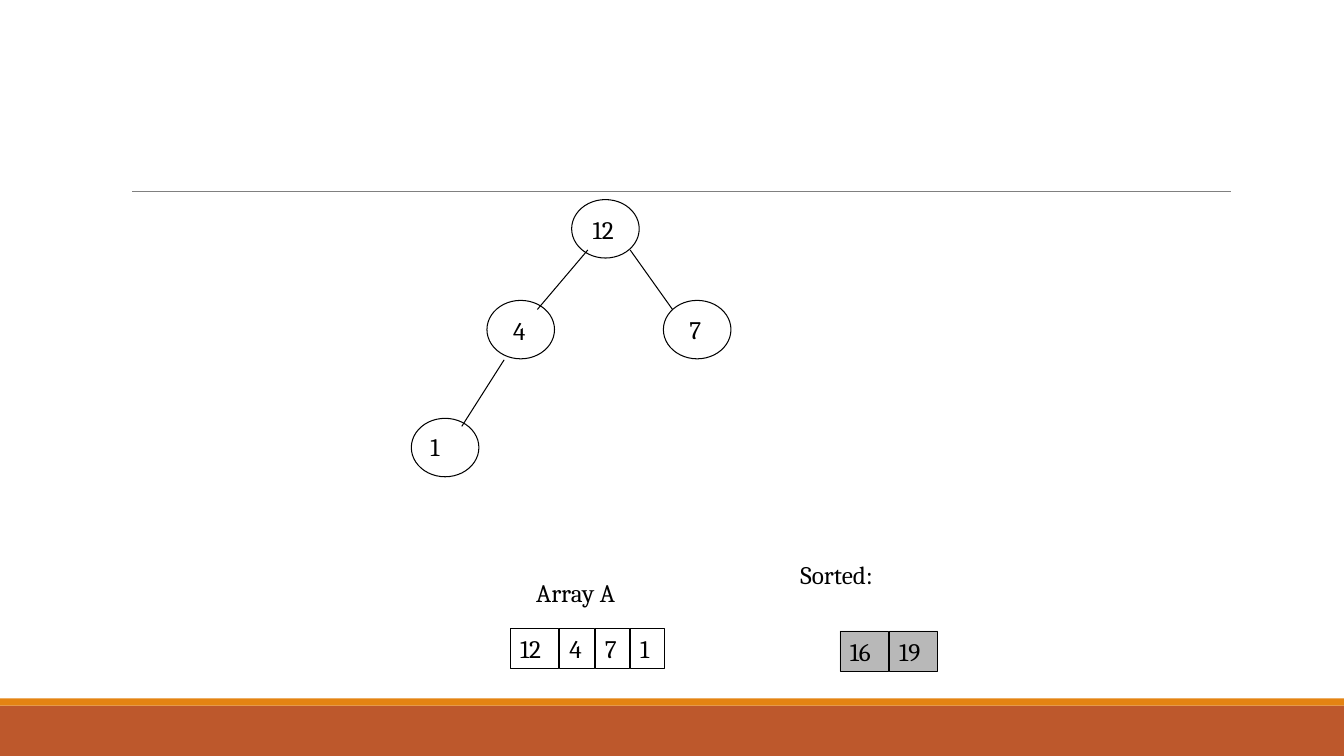
from lxml.etree import SubElement
from pptx import Presentation
from pptx.dml.color import RGBColor
from pptx.enum.shapes import MSO_CONNECTOR, MSO_SHAPE
from pptx.enum.text import MSO_ANCHOR, PP_ALIGN
from pptx.oxml.ns import qn
from pptx.util import Inches, Pt

BLACK = "000000"
SORTED_GRAY = "B8B8B8"
TEXT_HEIGHT = 0.4
NODE_WIDTH, NODE_HEIGHT = 0.67, 0.58


def color(hex_string):
    return RGBColor.from_string(hex_string)


def write(shape, text):
    frame = shape.text_frame
    frame.word_wrap = True
    frame.vertical_anchor = MSO_ANCHOR.TOP
    frame.text = text
    paragraph = frame.paragraphs[0]
    paragraph.alignment = PP_ALIGN.LEFT
    font = paragraph.runs[0].font
    font.name = "Cambria"
    font.size = Pt(18)
    font.color.rgb = color(BLACK)


def add_label(slide, left, top, width, text):
    box = slide.shapes.add_textbox(
        Inches(left), Inches(top), Inches(width), Inches(TEXT_HEIGHT))
    write(box, text)


def add_figure(slide, kind, left, top, width, height, fill=None, line_width=None):
    """Add a preset shape; without a line width it has no outline."""
    shape = slide.shapes.add_shape(
        kind, Inches(left), Inches(top), Inches(width), Inches(height))
    shape.shadow.inherit = False
    if fill:
        shape.fill.solid()
        shape.fill.fore_color.rgb = color(fill)
    else:
        shape.fill.background()
    if line_width:
        shape.line.color.rgb = color(BLACK)
        shape.line.width = Pt(line_width)
    else:
        shape.line.fill.background()
    return shape


def add_line(slide, start, end, line_color=BLACK, line_width=0.75):
    line = slide.shapes.add_connector(
        MSO_CONNECTOR.STRAIGHT, *(Inches(value) for value in start + end))
    line.line.color.rgb = color(line_color)
    line.line.width = Pt(line_width)
    SubElement(line._element.spPr, qn("a:effectLst"))


def add_frame(slide, width, height):
    """Draw the footer bands and the rule under the title area."""
    add_figure(slide, MSO_SHAPE.RECTANGLE, 0, height - 0.5, width, 0.5, "BD582C")
    add_figure(slide, MSO_SHAPE.RECTANGLE, 0, height - 0.57, width, 0.07, "E48312")
    add_line(slide, (1.31, 1.9), (12.21, 1.9), "808080", 0.5)


def add_heap(slide, left, top):
    # Node offset, then label offset within the node and label width
    nodes = [
        ("12", 1.59, 0, 0.11, 0.1, 0.48),
        ("4", 0.75, 1, 0.16, 0.1, 0.34),
        ("7", 2.5, 1, 0.16, 0.09, 0.34),
        ("1", 0, 2.17, 0.09, 0.08, 0.34),
    ]
    for text, x, y, label_x, label_y, label_width in nodes:
        add_figure(slide, MSO_SHAPE.OVAL, left + x, top + y,
                   NODE_WIDTH, NODE_HEIGHT, line_width=0.75)
        add_label(slide, left + x + label_x, top + y + label_y, label_width, text)
    edges = [
        ((1.75, 0.5), (1.25, 1.09)),
        ((0.92, 1.59), (0.5, 2.25)),
        ((2.17, 0.5), (2.59, 1.09)),
    ]
    for edge in edges:
        start, end = ((left + x, top + y) for x, y in edge)
        add_line(slide, start, end)


def add_array(slide, left, top, cells, gap, fill=None):
    for text in cells:
        width = 0.48 if len(text) > 1 else 0.34
        cell = add_figure(slide, MSO_SHAPE.RECTANGLE, left, top,
                          width, TEXT_HEIGHT, fill, 0.25)
        write(cell, text)
        left += width + gap


def main():
    presentation = Presentation()
    presentation.slide_width = Inches(13.33)
    presentation.slide_height = Inches(7.5)
    slide = presentation.slides.add_slide(presentation.slide_layouts[6])
    add_frame(slide, 13.33, 7.5)
    add_heap(slide, 4.08, 1.98)
    add_label(slide, 5.22, 5.68, 1.14, "Array A")
    add_array(slide, 5.06, 6.23, ["12", "4", "7", "1"], 0.01)
    add_label(slide, 7.84, 5.5, 1.04, "Sorted:")
    add_array(slide, 8.33, 6.26, ["16", "19"], 0.01, SORTED_GRAY)
    presentation.save("out.pptx")


if __name__ == "__main__":
    main()
